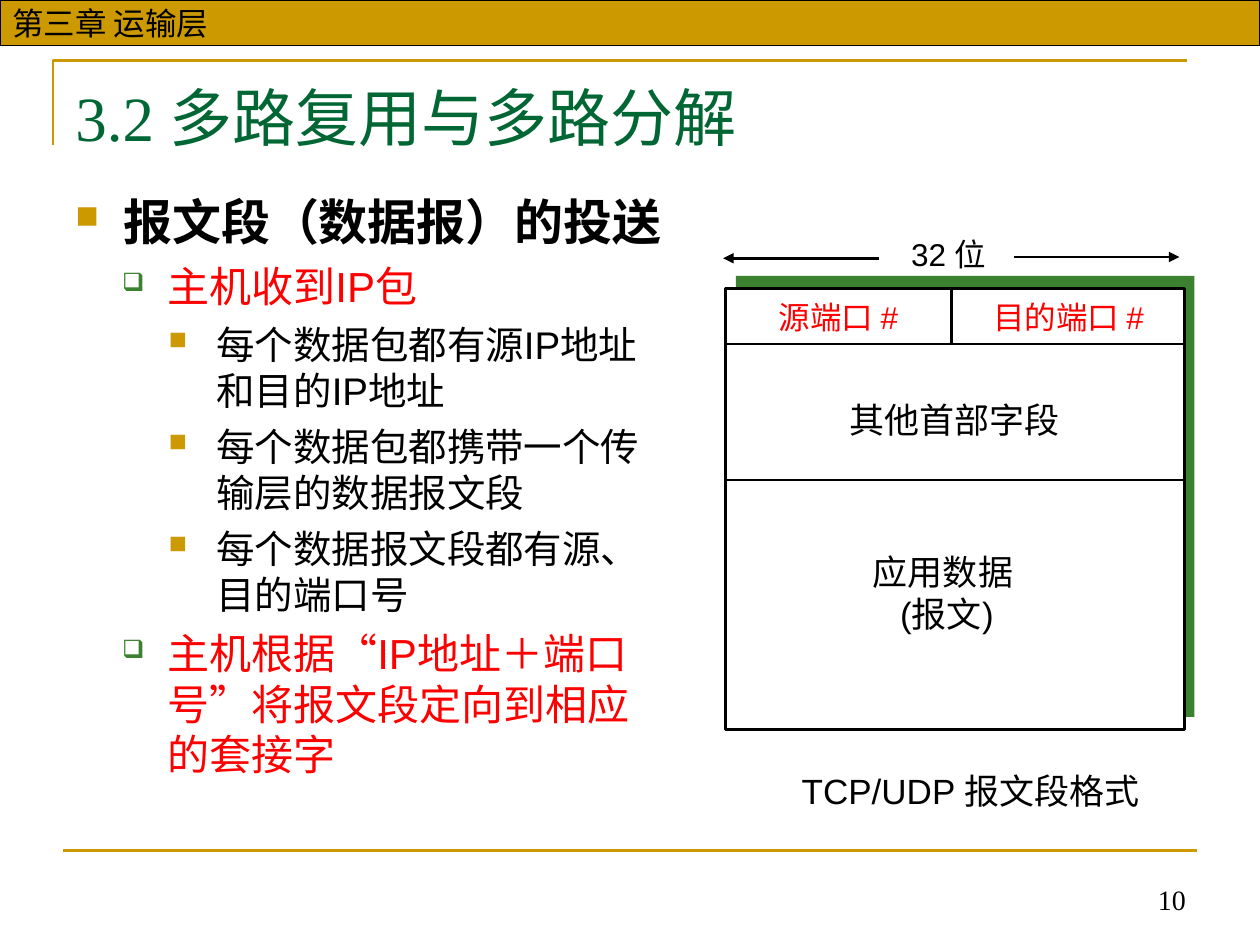
from lxml import etree
from pptx import Presentation
from pptx.dml.color import RGBColor
from pptx.enum.lang import MSO_LANGUAGE_ID
from pptx.enum.shapes import MSO_CONNECTOR, MSO_SHAPE
from pptx.enum.text import MSO_ANCHOR, MSO_AUTO_SIZE, PP_ALIGN
from pptx.oxml.ns import qn
from pptx.util import Inches, Pt

GOLD = RGBColor(0xCC, 0x99, 0x00)
GREEN = RGBColor(0x3B, 0x81, 0x2F)
TITLE_GREEN = RGBColor(0x00, 0x66, 0x33)
RED = RGBColor(0xFF, 0x00, 0x00)
BLACK = RGBColor(0x00, 0x00, 0x00)
WHITE = RGBColor(0xFF, 0xFF, 0xFF)
STRAIGHT = MSO_CONNECTOR.STRAIGHT
RECTANGLE = MSO_SHAPE.RECTANGLE
LEFT, CENTER, RIGHT = PP_ALIGN.LEFT, PP_ALIGN.CENTER, PP_ALIGN.RIGHT
TOP, MIDDLE, BOTTOM = MSO_ANCHOR.TOP, MSO_ANCHOR.MIDDLE, MSO_ANCHOR.BOTTOM
CHINESE = MSO_LANGUAGE_ID.SIMPLIFIED_CHINESE


def add_text(paragraph, text, size, color, font="Arial", bold=False):
    run = paragraph.add_run()
    run.text = text
    run.font.name = font
    run.font.size = Pt(size)
    run.font.bold = bold
    run.font.color.rgb = color
    run.font.language_id = CHINESE


def add_line(x1, y1, x2, y2, color=BLACK, arrow=False):
    line = slide.shapes.add_connector(
        STRAIGHT, Inches(x1), Inches(y1), Inches(x2), Inches(y2))
    line.line.color.rgb = color
    line.line.width = Pt(1.5)
    if arrow:
        etree.SubElement(line.line._get_or_add_ln(), qn("a:tailEnd"), type="triangle")
    etree.SubElement(line._element.spPr, qn("a:effectLst"))


presentation = Presentation()
presentation.slide_width = Inches(10)
presentation.slide_height = Inches(7.5)
slide = presentation.slides.add_slide(presentation.slide_layouts[6])

# Gold frame around the title and rule above the footer
builder = slide.shapes.build_freeform(Inches(0.42), Inches(1.15))
builder.add_line_segments(
    [(Inches(0.42), Inches(0.48)), (Inches(9.42), Inches(0.48))], close=False)
frame = builder.convert_to_shape()
frame.shadow.inherit = False
frame.fill.background()
frame.line.color.rgb = GOLD
frame.line.width = Pt(1.5)
add_line(0.5, 6.75, 9.5, 6.75, GOLD)

# Chapter bar
bar = slide.shapes.add_shape(RECTANGLE, 0, 0, Inches(10), Inches(0.36))
bar.shadow.inherit = False
bar.fill.solid()
bar.fill.fore_color.rgb = GOLD
bar.line.color.rgb = BLACK
bar.line.width = Pt(0.75)
bar.text_frame.word_wrap = False
bar.text_frame.vertical_anchor = MIDDLE
bar.text_frame.paragraphs[0].alignment = LEFT
add_text(bar.text_frame.paragraphs[0], "第三章 运输层", 18, BLACK)

# Title and page number
for left, top, width, height, text, size, color, alignment, anchor in (
    (0.5, 0.54, 9, 0.77, "3.2 多路复用与多路分解", 36, TITLE_GREEN, LEFT, MIDDLE),
    (6.34, 6.82, 3.17, 0.5, "10", 16, BLACK, RIGHT, BOTTOM),
):
    box = slide.shapes.add_textbox(
        Inches(left), Inches(top), Inches(width), Inches(height))
    box.text_frame.word_wrap = True
    box.text_frame.vertical_anchor = anchor
    box.text_frame.paragraphs[0].alignment = alignment
    add_text(box.text_frame.paragraphs[0], text, size, color, "Times New Roman")

# Bulleted body: margin, hanging, space before, bullet, its colour, its size %,
# text size, text colour, bold
LEVELS = (
    (0.38, 0.38, 7, "■", GOLD, 65, 28, BLACK, True),
    (0.73, 0.36, 6, "❑", GREEN, 60, 24, RED, False),
    (1.12, 0.38, 5.5, "■", GOLD, 65, 22, BLACK, False),
)
BODY = (
    (0, "报文段（数据报）的投送"),
    (1, "主机收到IP包"),
    (2, "每个数据包都有源IP地址和目的IP地址"),
    (2, "每个数据包都携带一个传输层的数据报文段"),
    (2, "每个数据报文段都有源、目的端口号"),
    (1, "主机根据“IP地址＋端口号”将报文段定向到相应的套接字"),
)
body = slide.shapes.add_textbox(Inches(0.5), Inches(1.47), Inches(4.89), Inches(5.2))
body.text_frame.word_wrap = True
body.text_frame.vertical_anchor = TOP
for index, (level, text) in enumerate(BODY):
    margin, hanging, space, bullet, bullet_color, percent, size, color, bold = LEVELS[level]
    paragraph = body.text_frame.paragraphs[0] if index == 0 else body.text_frame.add_paragraph()
    paragraph.level = level
    if index:
        paragraph.space_before = Pt(space)
    properties = paragraph._p.get_or_add_pPr()
    properties.set("marL", str(Inches(margin)))
    properties.set("indent", str(-Inches(hanging)))
    color_element = etree.SubElement(properties, qn("a:buClr"))
    etree.SubElement(color_element, qn("a:srgbClr"), val=str(bullet_color))
    etree.SubElement(properties, qn("a:buSzPct"), val=str(percent * 1000))
    etree.SubElement(properties, qn("a:buChar"), char=bullet)
    add_text(paragraph, text, size, color, bold=bold)

# Segment block with its offset green backing
for left, top, color in ((5.84, 2.19, GREEN), (5.76, 2.29, WHITE)):
    block = slide.shapes.add_shape(
        RECTANGLE, Inches(left), Inches(top), Inches(3.64), Inches(3.5))
    block.shadow.inherit = False
    block.fill.solid()
    block.fill.fore_color.rgb = color
    block.line.fill.background()
block.line.color.rgb = BLACK
block.line.width = Pt(1.5)

# Field dividers and width arrows
add_line(5.76, 2.73, 9.4, 2.73)
add_line(5.76, 3.81, 9.4, 3.81)
add_line(7.55, 2.73, 7.55, 2.29)
add_line(8.05, 2.04, 9.36, 2.04, arrow=True)
add_line(6.98, 2.05, 5.74, 2.05, arrow=True)

# Diagram labels
for left, top, width, height, lines, size, color in (
    (6.02, 2.32, 1.27, 0.4, ["源端口 #"], 18, RED),
    (7.72, 2.32, 1.52, 0.4, ["目的端口 #"], 18, RED),
    (7.1, 1.82, 0.86, 0.4, ["32 位"], 18, BLACK),
    (6.79, 4.32, 1.45, 0.77, ["应用数据 ", "(报文)"], 20, BLACK),
    (6.64, 3.11, 1.87, 0.44, ["其他首部字段"], 20, BLACK),
    (6.23, 6.06, 2.95, 0.44, ["TCP/UDP 报文段格式"], 20, BLACK),
):
    label = slide.shapes.add_textbox(
        Inches(left), Inches(top), Inches(width), Inches(height))
    label.text_frame.word_wrap = False
    label.text_frame.auto_size = MSO_AUTO_SIZE.SHAPE_TO_FIT_TEXT
    for index, text in enumerate(lines):
        paragraph = label.text_frame.paragraphs[0] if index == 0 else label.text_frame.add_paragraph()
        paragraph.alignment = CENTER
        add_text(paragraph, text, size, color)

presentation.save("out.pptx")
